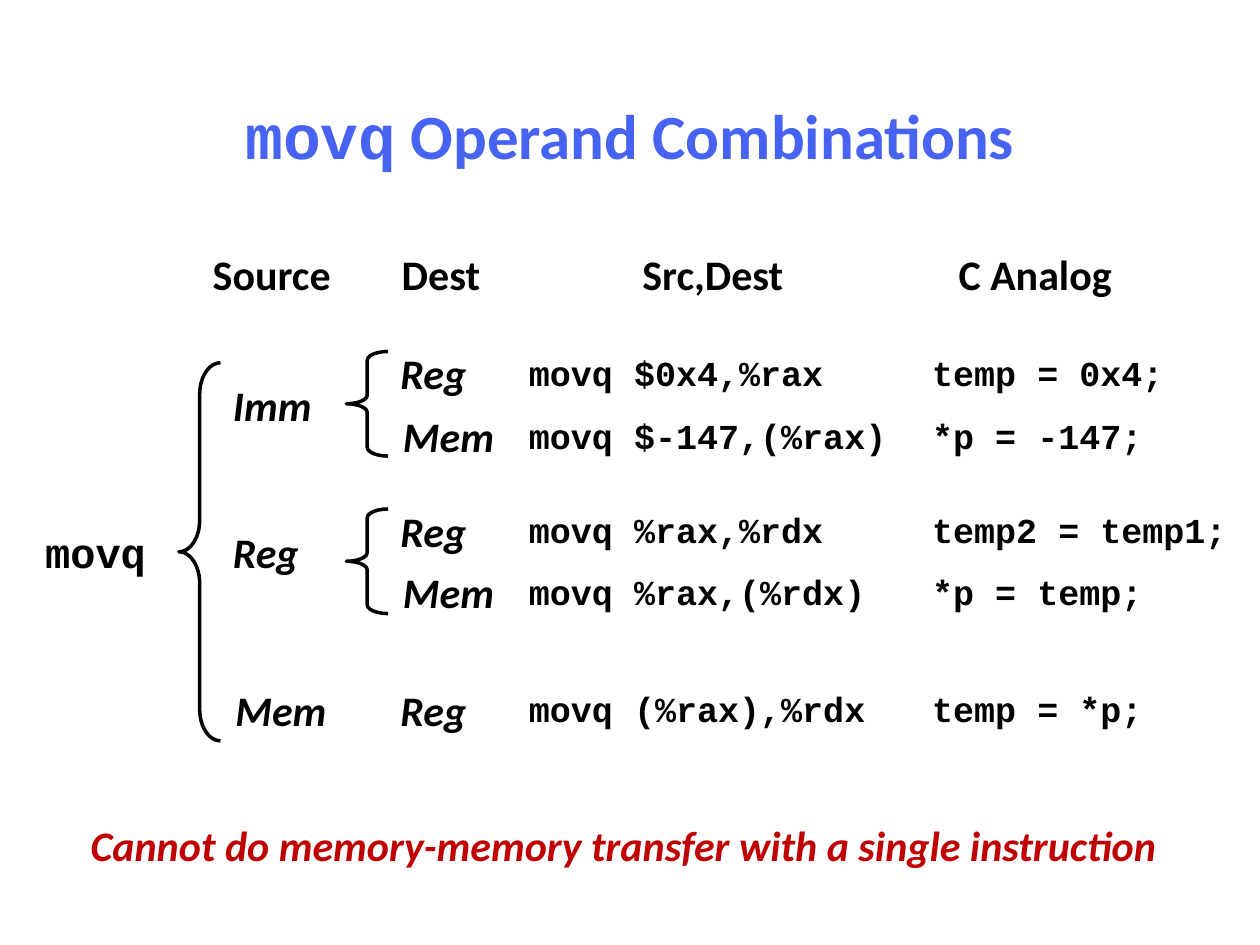
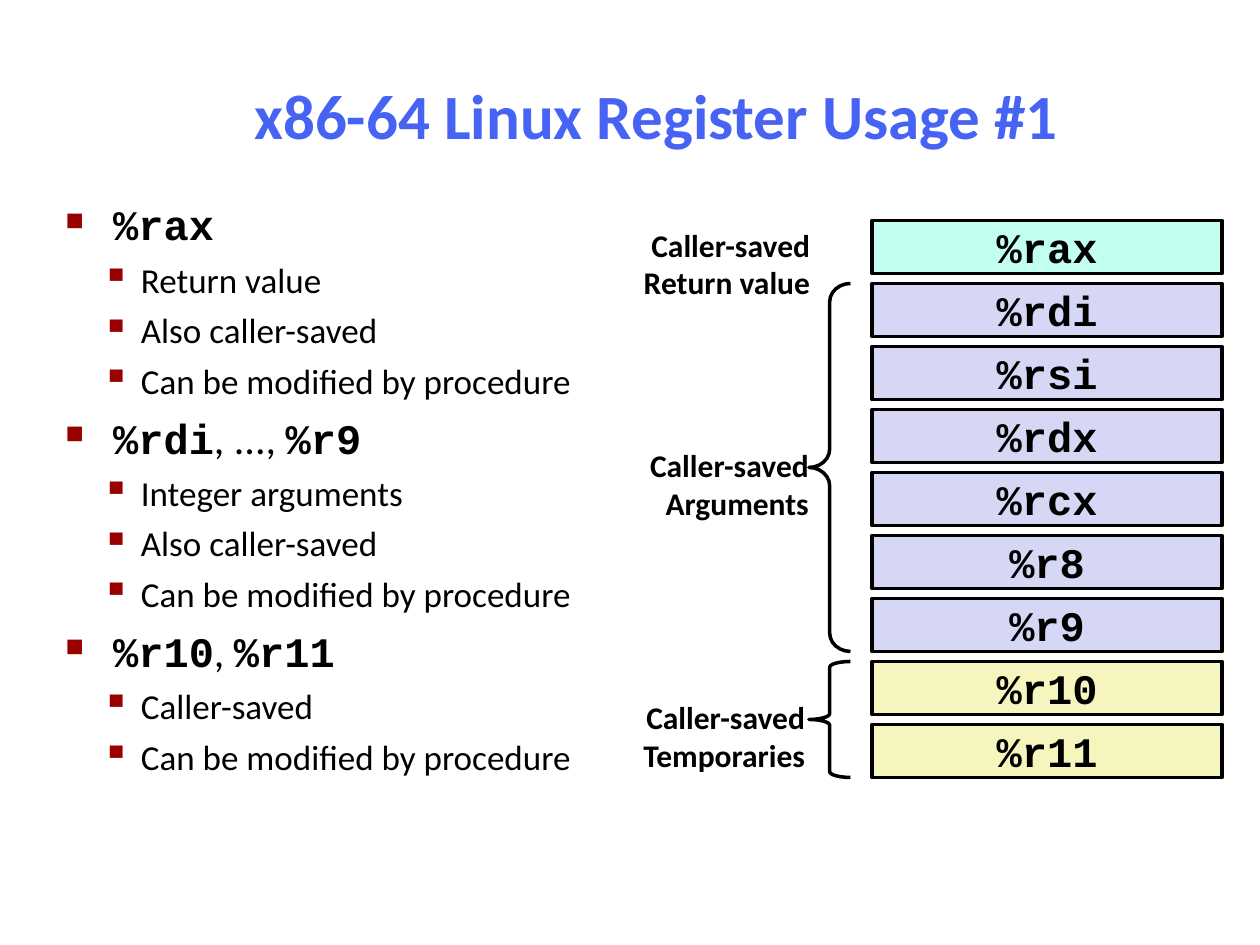
"""Build two slides on movq operands and x86-64 register usage."""
import pptx
import pptx.util
import pptx.dml.color
import pptx.enum.shapes
import pptx.enum.text
import pptx.oxml.ns
import lxml.etree

Inches, Pt = pptx.util.Inches, pptx.util.Pt
PP_ALIGN = pptx.enum.text.PP_ALIGN
ANCHOR = pptx.enum.text.MSO_ANCHOR
SHAPE = pptx.enum.shapes.MSO_SHAPE

COLORS = {
    "title": "4763F3", "ink": "000000", "warning": "C00000", "bullet": "990000",
    "return": "C2FFF0", "argument": "D6D6F5", "temporary": "F6F5BD",
}
SANS, MONO = "Calibri", "Courier New"
CODE = {"font": MONO, "bold": True}
BULLETS = [
    {"char": "■", "percent": 60, "margin": 0.38, "indent": -0.38, "before": 6, "size": 24},
    {"char": "▪", "percent": 110, "margin": 0.6, "indent": -0.31, "before": 5, "size": 20},
]


def rgb(name):
    return pptx.dml.color.RGBColor.from_string(COLORS[name])


def add_text(paragraph, text, font=SANS, size=24, color="ink", bold=False, italic=False):
    run = paragraph.add_run()
    run.text = text
    run.font.name, run.font.size = font, Pt(size)
    run.font.bold, run.font.italic = bold, italic
    run.font.color.rgb = rgb(color)


def set_bullet(paragraph, style):
    properties = paragraph._p.get_or_add_pPr()
    properties.set("marL", str(Inches(style["margin"])))
    properties.set("indent", str(Inches(style["indent"])))
    qn = pptx.oxml.ns.qn
    color = lxml.etree.SubElement(properties, qn("a:buClr"))
    lxml.etree.SubElement(color, qn("a:srgbClr")).set("val", COLORS["bullet"])
    lxml.etree.SubElement(properties, qn("a:buSzPct")).set("val", str(style["percent"] * 1000))
    lxml.etree.SubElement(properties, qn("a:buChar")).set("char", style["char"])


class Deck:
    """Hold the shared style and the slide being filled."""

    def __init__(self):
        self.presentation = pptx.Presentation()
        self.presentation.slide_width = Inches(10)
        self.presentation.slide_height = Inches(7.5)
        self.slide = None

    def new_slide(self):
        self.slide = self.presentation.slides.add_slide(self.presentation.slide_layouts[6])

    def frame(self, left, top, width, height, inset=(0.1, 0.05), anchor=ANCHOR.TOP):
        box = self.slide.shapes.add_textbox(Inches(left), Inches(top), Inches(width), Inches(height))
        return self.prepare(box.text_frame, inset, anchor)

    def prepare(self, frame, inset, anchor):
        frame.word_wrap = True
        frame.vertical_anchor = anchor
        frame.margin_left = frame.margin_right = Inches(inset[0])
        frame.margin_top = frame.margin_bottom = Inches(inset[1])
        return frame

    def title(self, runs, left, top, width, height):
        paragraph = self.frame(left, top, width, height, anchor=ANCHOR.MIDDLE).paragraphs[0]
        paragraph.alignment = PP_ALIGN.CENTER
        for text, font in runs:
            add_text(paragraph, text, font=font, size=36, color="title", bold=True)

    def label(self, lines, left, top, width, height=0.5, inset=(0.1, 0.05),
              align=PP_ALIGN.LEFT, **style):
        frame = self.frame(left, top, width, height, inset)
        for index, line in enumerate(lines.split("\n")):
            paragraph = frame.add_paragraph() if index else frame.paragraphs[0]
            paragraph.alignment = align
            add_text(paragraph, line, bold=True, **style)

    def bullets(self, items, left, top, width, height):
        frame = self.frame(left, top, width, height)
        for index, (level, runs) in enumerate(items):
            paragraph = frame.add_paragraph() if index else frame.paragraphs[0]
            style = BULLETS[level]
            paragraph.level = level
            set_bullet(paragraph, style)
            if index:
                paragraph.space_before = Pt(style["before"])
            for text, run_style in runs:
                add_text(paragraph, text, size=style["size"], **run_style)

    def shape(self, kind, left, top, width, height):
        shape = self.slide.shapes.add_shape(
            kind, Inches(left), Inches(top), Inches(width), Inches(height))
        shape.shadow.inherit = False
        shape.line.color.rgb = rgb("ink")
        shape.line.width = Pt(2)
        return shape

    def brace(self, left, top, height, curve):
        width = 0.33
        brace = self.shape(SHAPE.LEFT_BRACE, left, top, width, height)
        brace.fill.background()
        brace.adjustments[0] = curve * height / width

    def register(self, name, role, left, top, width, height):
        cell = self.shape(SHAPE.RECTANGLE, left, top, width, height)
        cell.fill.solid()
        cell.fill.fore_color.rgb = rgb(role)
        paragraph = self.prepare(cell.text_frame, (0, 0), ANCHOR.MIDDLE).paragraphs[0]
        paragraph.alignment = PP_ALIGN.CENTER
        add_text(paragraph, name, **CODE)


def operand_slide(deck):
    deck.new_slide()
    deck.title([("movq", MONO), (" Operand Combinations", SANS)], 1.08, 0.75, 7.84, 0.63)
    deck.label("Cannot do memory-memory transfer with a single instruction",
               0.5, 6.5, 8.9, 0.58, inset=(0, 0), align=PP_ALIGN.CENTER,
               color="warning", italic=True)
    for heading, left in (("Source", 1.59), ("Dest", 3.09), ("Src,Dest", 5), ("C Analog", 7.51)):
        deck.label(heading, left, 1.92, 1.6)
    deck.label("movq", 0.26, 4.13, 1.2, font=MONO)
    for source, left, top in (("Imm", 1.75, 2.96), ("Reg", 1.75, 4.13), ("Mem", 1.77, 5.38)):
        deck.label(source, left, top, 1, italic=True)
    combinations = [
        (2.71, "Reg", "movq $0x4,%rax", "temp = 0x4;"),
        (3.21, "Mem", "movq $-147,(%rax)", "*p = -147;"),
        (3.96, "Reg", "movq %rax,%rdx", "temp2 = temp1;"),
        (4.45, "Mem", "movq %rax,(%rdx)", "*p = temp;"),
        (5.38, "Reg", "movq (%rax),%rdx", "temp = *p;"),
    ]
    for top, dest, instruction, analog in combinations:
        deck.label(dest, 3.1 if dest == "Mem" else 3.08, top, 1, italic=True)
        for code, left, width in ((instruction, 4.1, 3.2), (analog, 7.3, 2.7)):
            deck.label(code, left, top + 0.03, width, 0.44, font=MONO, size=20)
    for left, top, height in ((1.42, 2.88, 3), (2.75, 2.79, 0.83), (2.75, 4.04, 0.83)):
        deck.brace(left, top, height, curve=1 / 12)


def register_slide(deck):
    deck.new_slide()
    deck.title([("x86-64 Linux Register Usage #1", SANS)], 1.67, 0.28, 7.08, 1.25)
    groups = [
        ([("%rax", CODE)], ["Return value", "Also caller-saved", "Can be modified by procedure"]),
        ([("%rdi", CODE), (", ..., ", {}), ("%r9", CODE)],
         ["Integer arguments", "Also caller-saved", "Can be modified by procedure"]),
        ([("%r10", CODE), (", ", {}), ("%r11", CODE)],
         ["Caller-saved", "Can be modified by procedure"]),
    ]
    items = []
    for registers, facts in groups:
        items.append((0, registers))
        items += [(1, [(fact, {})]) for fact in facts]
    deck.bullets(items, 0.42, 1.53, 4.44, 5.94)

    roles = [("return", ["%rax"]),
             ("argument", ["%rdi", "%rsi", "%rdx", "%rcx", "%r8", "%r9"]),
             ("temporary", ["%r10", "%r11"])]
    cells = [(name, role) for role, names in roles for name in names]
    for row, (name, role) in enumerate(cells):
        deck.register(name, role, 6.92, 1.75 + 0.5 * row, 2.78, 0.42)
    for purpose, right, top in (("Return value", 6.47, 1.75), ("Arguments", 6.46, 3.5),
                                ("Temporaries", 6.43, 5.5)):
        deck.label("Caller-saved\n" + purpose, right - 1.6, top, 1.6, 0.68,
                   inset=(0.04, 0.04), align=PP_ALIGN.RIGHT, size=18)
    for top, height in ((2.25, 2.92), (5.25, 0.92)):
        deck.brace(6.42, top, height, curve=0.05)


def main():
    deck = Deck()
    operand_slide(deck)
    register_slide(deck)
    deck.presentation.save("out.pptx")


if __name__ == "__main__":
    main()
